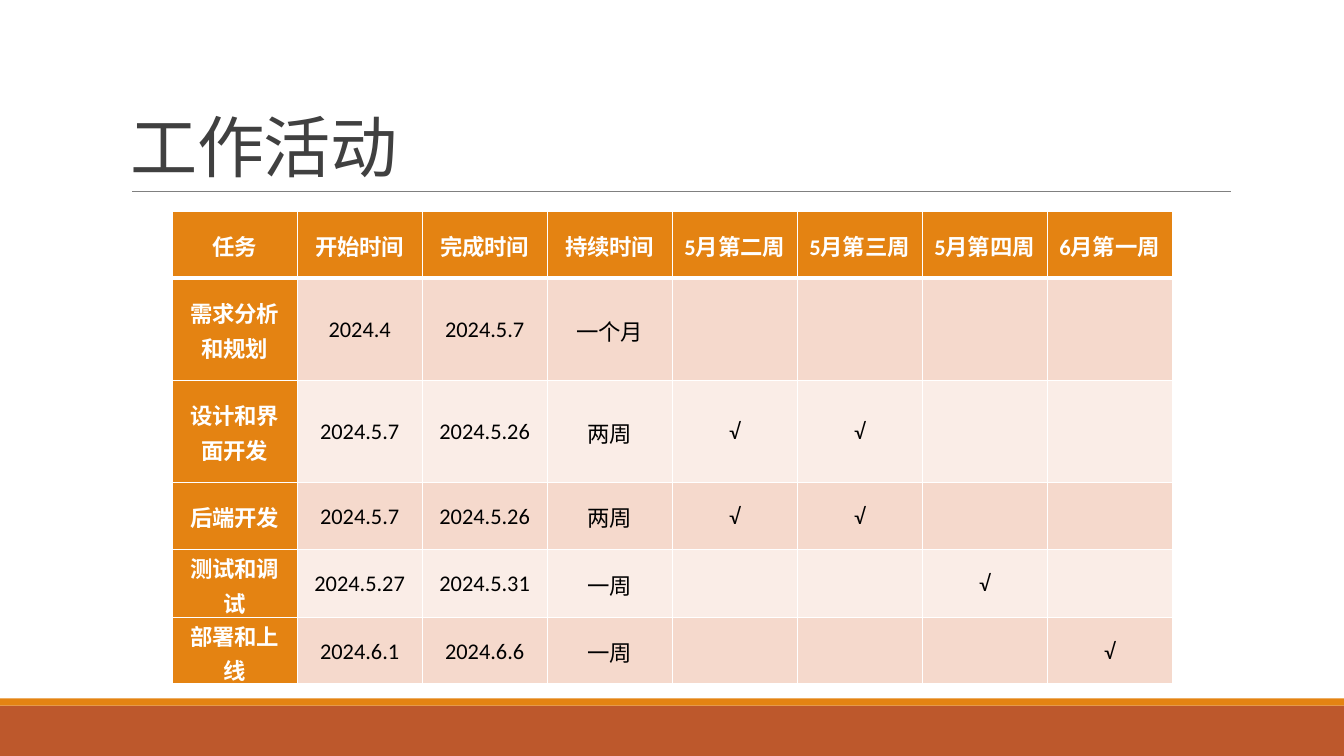
from dataclasses import dataclass

from lxml.etree import SubElement
from pptx import Presentation
from pptx.dml.color import RGBColor
from pptx.enum.shapes import MSO_CONNECTOR, MSO_SHAPE
from pptx.enum.text import MSO_ANCHOR, PP_ALIGN
from pptx.oxml import parse_xml
from pptx.oxml.ns import nsdecls, qn
from pptx.slide import Slide
from pptx.table import _Cell
from pptx.text.text import _Paragraph, _Run
from pptx.util import Cm, Pt

FONT = "Calibri"
COLOURS = {
    "white": "FFFFFF",
    "black": "000000",
    "title": "404040",
    "rule": "808080",
    "orange": "E48312",
    "rust": "BD582C",
    "dark_band": "F5D9CC",
    "light_band": "FAEDE7",
}
SLIDE_WIDTH, SLIDE_HEIGHT = 33.87, 19.05
COLUMN_WIDTH = 3.15
HEADER_HEIGHT = 1.68
WEEKS = ["5月第二周", "5月第三周", "5月第四周", "6月第一周"]
HEADINGS = ["任务", "开始时间", "完成时间", "持续时间"] + WEEKS


@dataclass
class Bar:
    top: float
    height: float
    colour: str


@dataclass
class Task:
    name: str
    start: str
    finish: str
    duration: str
    weeks: tuple[int, ...]
    height: float

    def row(self) -> list[str]:
        ticks = ["√" if week in self.weeks else "" for week in range(len(WEEKS))]
        return [self.name, self.start, self.finish, self.duration] + ticks


BARS = [Bar(17.78, 1.27, "rust"), Bar(17.6, 0.18, "orange")]
TASKS = [
    Task("需求分析和规划", "2024.4", "2024.5.7", "一个月", (), 2.57),
    Task("设计和界面开发", "2024.5.7", "2024.5.26", "两周", (0, 1), 2.57),
    Task("后端开发", "2024.5.7", "2024.5.26", "两周", (0, 1), 1.7),
    Task("测试和调试", "2024.5.27", "2024.5.31", "一周", (2,), 1.7),
    Task("部署和上线", "2024.6.1", "2024.6.6", "一周", (3,), 1.68),
]


def rgb(name: str) -> RGBColor:
    return RGBColor.from_string(COLOURS[name])


def add_span(para: _Paragraph, text: str, size: float, colour: str, bold: bool = False) -> _Run:
    span = para.add_run()
    span.text = text
    span.font.name = FONT
    span.font.size = Pt(size)
    span.font.bold = bold
    span.font.color.rgb = rgb(colour)
    return span


def add_bar(page: Slide, bar: Bar) -> None:
    box = page.shapes.add_shape(
        MSO_SHAPE.RECTANGLE, 0, Cm(bar.top), Cm(SLIDE_WIDTH), Cm(bar.height)
    )
    box.shadow.inherit = False
    box.fill.solid()
    box.fill.fore_color.rgb = rgb(bar.colour)
    box.line.fill.background()


def add_title(page: Slide, text: str) -> None:
    """Add the title and the thin rule below it."""
    rule = page.shapes.add_connector(
        MSO_CONNECTOR.STRAIGHT, Cm(3.33), Cm(4.83), Cm(31.01), Cm(4.83)
    )
    rule.line.color.rgb = rgb("rule")
    rule.line.width = Pt(0.5)
    SubElement(rule._element.spPr, qn("a:effectLst"))

    box = page.shapes.add_textbox(Cm(3.05), Cm(0.79), Cm(27.94), Cm(4.04))
    frame = box.text_frame
    frame.word_wrap = True
    frame.vertical_anchor = MSO_ANCHOR.BOTTOM
    para = frame.paragraphs[0]
    para.line_spacing = 0.85
    span = add_span(para, text, 48, "title")
    span.font._element.set("spc", "-50")


def set_borders(cell: _Cell, top: float, bottom: float) -> None:
    """Draw white cell borders; the side borders are 1 pt wide."""
    properties = cell._tc.get_or_add_tcPr()
    sides = {"lnL": 1, "lnR": 1, "lnT": top, "lnB": bottom}
    for position, (side, width) in enumerate(sides.items()):
        border = parse_xml(
            f'<a:{side} {nsdecls("a")} w="{Pt(width)}"><a:solidFill>'
            f'<a:srgbClr val="{COLOURS["white"]}"/></a:solidFill></a:{side}>'
        )
        properties.insert(position, border)


def fill_cell(cell: _Cell, text: str, row: int, column: int) -> None:
    heading = row == 0 or column == 0
    band = "dark_band" if row % 2 else "light_band"
    cell.fill.solid()
    cell.fill.fore_color.rgb = rgb("orange" if heading else band)
    cell.vertical_anchor = MSO_ANCHOR.MIDDLE
    cell.margin_left = cell.margin_right = Cm(0.18)
    cell.margin_top = cell.margin_bottom = 0
    set_borders(cell, top=3 if row == 1 else 1, bottom=3 if row == 0 else 1)
    if text:
        para = cell.text_frame.paragraphs[0]
        para.alignment = PP_ALIGN.CENTER
        para.line_spacing = 1.07
        para.space_after = Pt(8)
        add_span(para, text, 16, "white" if heading else "black", heading)


def add_schedule(page: Slide) -> None:
    rows = [HEADINGS] + [task.row() for task in TASKS]
    heights = [HEADER_HEIGHT] + [task.height for task in TASKS]
    frame = page.shapes.add_table(
        len(rows), len(HEADINGS), Cm(4.34), Cm(5.33),
        Cm(COLUMN_WIDTH * len(HEADINGS)), Cm(sum(heights)),
    )
    table = frame.table
    table.first_col = True
    for column in table.columns:
        column.width = Cm(COLUMN_WIDTH)
    for row, (texts, height) in enumerate(zip(rows, heights)):
        table.rows[row].height = Cm(height)
        for column, text in enumerate(texts):
            fill_cell(table.cell(row, column), text, row, column)


def main() -> None:
    deck = Presentation()
    deck.slide_width = Cm(SLIDE_WIDTH)
    deck.slide_height = Cm(SLIDE_HEIGHT)
    page = deck.slides.add_slide(deck.slide_layouts[6])
    for bar in BARS:
        add_bar(page, bar)
    add_title(page, "工作活动")
    add_schedule(page)
    deck.save("out.pptx")


if __name__ == "__main__":
    main()
